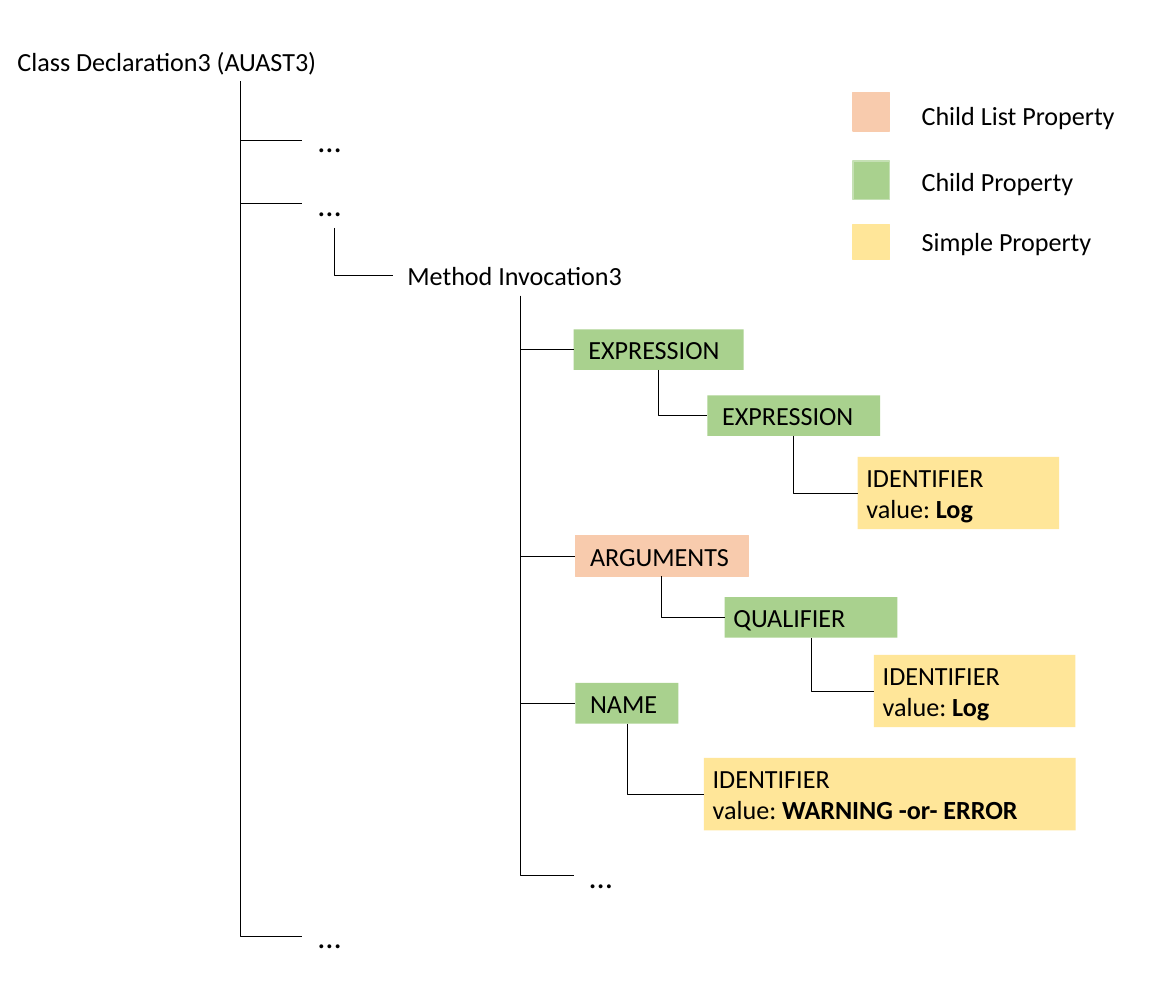
import pptx
import pptx.dml.color
import pptx.enum.shapes
import pptx.enum.text
import pptx.oxml.ns
import pptx.util
from pptx.util import Inches

FONT = "Calibri"
BLACK = "000000"
CHILD_LIST = "F8CBAD"
CHILD = "A9D18E"
SIMPLE = "FFE699"
BODY_SIZE = 20.8
ELLIPSIS_SIZE = 25.9


def color(value):
    return pptx.dml.color.RGBColor.from_string(value)


def add_rectangle(slide, box, fill, line=None, line_width=1):
    shape = slide.shapes.add_shape(
        pptx.enum.shapes.MSO_SHAPE.RECTANGLE, *map(Inches, box)
    )
    shape.shadow.inherit = False
    shape.fill.solid()
    shape.fill.fore_color.rgb = color(fill)
    if line:
        shape.line.color.rgb = color(line)
        shape.line.width = pptx.util.Pt(line_width)
    else:
        shape.line.fill.background()
    return shape


def add_run(paragraph, text, size, bold=False):
    run = paragraph.add_run()
    run.text = text
    run.font.name = FONT
    run.font.size = pptx.util.Pt(size)
    run.font.bold = bold
    run.font.color.rgb = color(BLACK)


def prepare_frame(shape):
    frame = shape.text_frame
    frame.word_wrap = True
    frame.auto_size = pptx.enum.text.MSO_AUTO_SIZE.SHAPE_TO_FIT_TEXT
    frame.vertical_anchor = pptx.enum.text.MSO_ANCHOR.TOP
    frame.paragraphs[0].alignment = pptx.enum.text.PP_ALIGN.LEFT
    return frame


def add_label(slide, box, text, size=BODY_SIZE):
    shape = slide.shapes.add_textbox(*map(Inches, box))
    add_run(prepare_frame(shape).paragraphs[0], text, size)
    return shape


def add_ellipsis(slide, left, top):
    return add_label(slide, (left, top, 0.7, 0.54), " …", ELLIPSIS_SIZE)


def add_property(slide, left, top, width, text, fill, line=None):
    shape = add_rectangle(slide, (left, top, width, 0.45), fill, line, 0.75)
    add_run(prepare_frame(shape).paragraphs[0], text, BODY_SIZE)
    return shape


def add_identifier(slide, left, top, width, value):
    shape = add_rectangle(slide, (left, top, width, 0.8), SIMPLE)
    frame = prepare_frame(shape)
    add_run(frame.paragraphs[0], "IDENTIFIER", BODY_SIZE)
    paragraph = frame.add_paragraph()
    paragraph.alignment = pptx.enum.text.PP_ALIGN.LEFT
    add_run(paragraph, "value: ", BODY_SIZE)
    add_run(paragraph, value, BODY_SIZE, bold=True)
    return shape


def add_branch(slide, parent, child):
    start_x = parent.left + parent.width // 2
    start_y = parent.top + parent.height
    end_x = child.left
    end_y = child.top + child.height // 2
    drop, reach = end_y - start_y, end_x - start_x
    left = (start_x + end_x - drop) // 2
    top = (start_y + end_y - reach) // 2
    connector = slide.shapes.add_connector(
        pptx.enum.shapes.MSO_CONNECTOR.ELBOW, left + drop, top, left, top + reach
    )
    connector.line.color.rgb = color(BLACK)
    connector.line.width = pptx.util.Pt(0.5)
    qn = pptx.oxml.ns.qn
    properties = connector._element.spPr
    properties.find(qn("a:xfrm")).set("rot", str(270 * 60000))
    properties.find(qn("a:prstGeom")).set("prst", "bentConnector2")
    properties.append(pptx.oxml.parse_xml(
        f"<a:effectLst {pptx.oxml.ns.nsdecls('a')}/>"
    ))


def add_tree(slide):
    declaration = add_label(slide, (0.03, 0.45, 5.26, 0.45), " Class Declaration3 (AUAST3)")
    first, second, last = [add_ellipsis(slide, 3.34, top) for top in (1.28, 1.98, 10.08)]
    invocation = add_label(slide, (4.34, 2.82, 2.83, 0.45), " Method Invocation3")
    expression = add_property(slide, 6.34, 3.64, 1.88, " EXPRESSION", CHILD)
    inner_expression = add_property(slide, 7.82, 4.37, 1.91, " EXPRESSION", CHILD)
    expression_value = add_identifier(slide, 9.48, 5.05, 2.23, "Log")
    arguments = add_property(slide, 6.36, 5.92, 1.91, " ARGUMENTS", CHILD_LIST, CHILD_LIST)
    qualifier = add_property(slide, 8.01, 6.6, 1.91, "QUALIFIER", CHILD)
    qualifier_value = add_identifier(slide, 9.66, 7.24, 2.23, "Log")
    name = add_property(slide, 6.36, 7.55, 1.14, " NAME", CHILD)
    name_value = add_identifier(slide, 7.78, 8.38, 4.11, "WARNING -or- ERROR")
    more = add_ellipsis(slide, 6.34, 9.41)

    children = [
        (declaration, [first, second, last]),
        (second, [invocation]),
        (invocation, [expression, arguments, name, more]),
        (expression, [inner_expression]),
        (inner_expression, [expression_value]),
        (arguments, [qualifier]),
        (qualifier, [qualifier_value]),
        (name, [name_value]),
    ]
    for parent, nodes in children:
        for node in nodes:
            add_branch(slide, parent, node)


def add_legend(slide):
    entries = [
        ("Child List Property", CHILD_LIST, CHILD_LIST, 1.02, 0.43, 1.05),
        ("Child Property", CHILD, "C5E0B4", 1.78, 0.43, 1.78),
        ("Simple Property", SIMPLE, SIMPLE, 2.48, 0.39, 2.44),
    ]
    for text, fill, line, top, height, text_top in entries:
        add_rectangle(slide, (9.43, top, 0.4, height), fill, line)
        add_label(slide, (10.09, text_top, 2.6, 0.45), text)


def main():
    presentation = pptx.Presentation()
    presentation.slide_width = Inches(13)
    presentation.slide_height = Inches(11)
    slide = presentation.slides.add_slide(presentation.slide_layouts.get_by_name("Blank"))
    add_tree(slide)
    add_legend(slide)
    presentation.save("out.pptx")


main()
